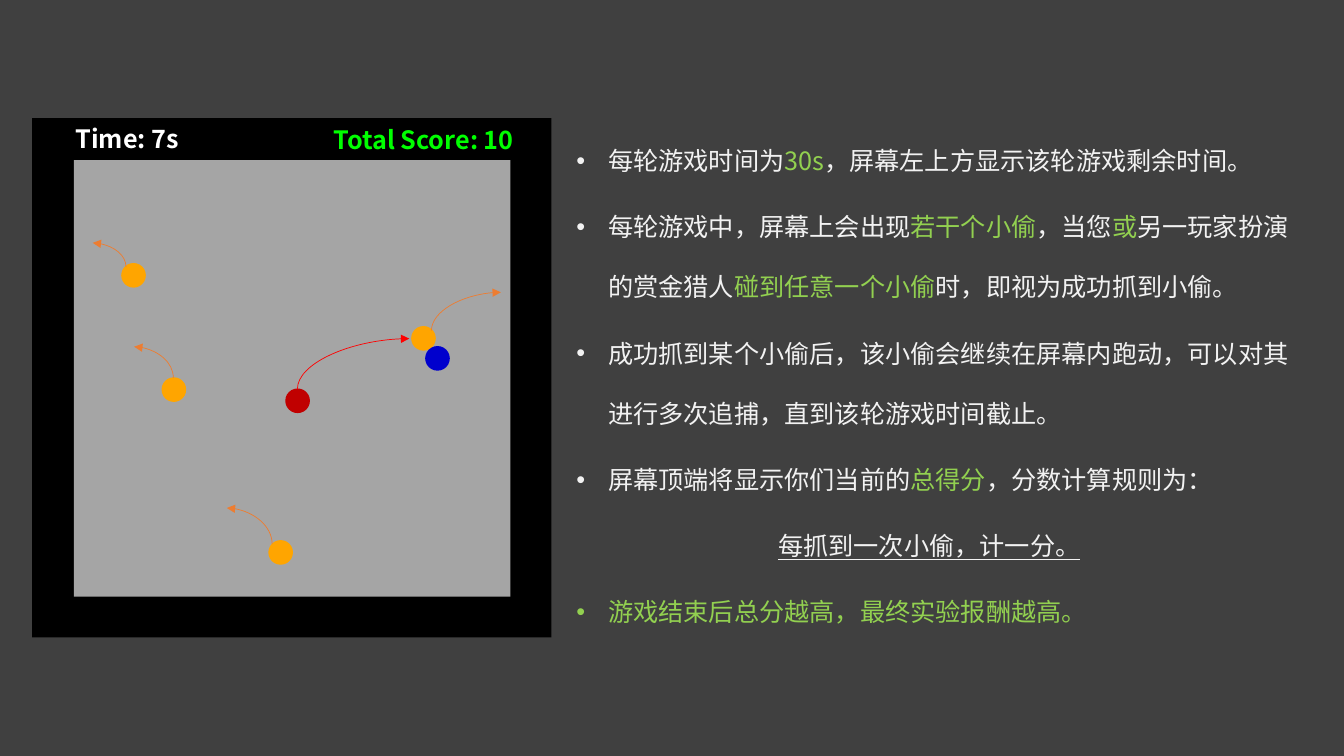
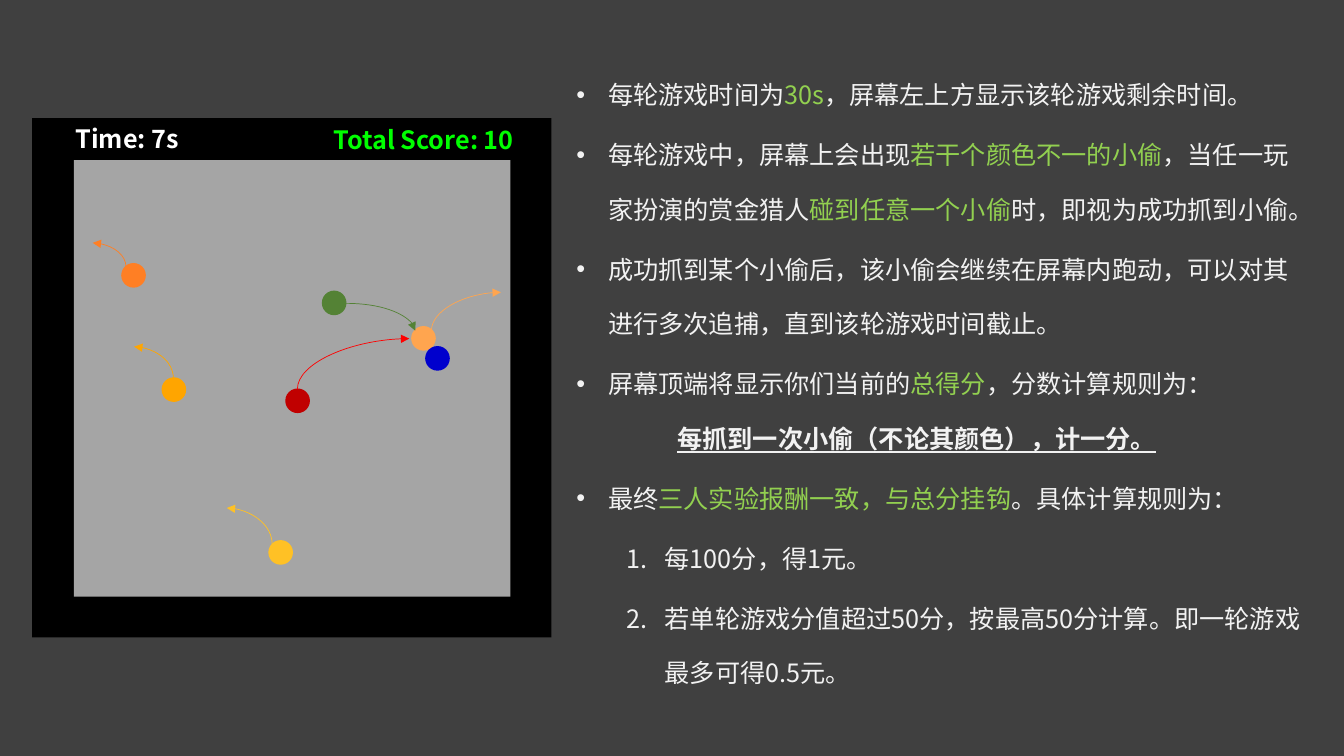
from dataclasses import dataclass
from pptx import Presentation
from pptx.dml.color import RGBColor
from pptx.enum.shapes import MSO_CONNECTOR as Link, MSO_SHAPE as Preset
from pptx.enum.text import MSO_AUTO_SIZE as AutoSize
from pptx.oxml.ns import qn
from pptx.util import Pt
from lxml.etree import SubElement

# ---- Content ----
TIME_RULE = ("bullet", ("每轮游戏时间为", "30s", "，屏幕左上方显示该轮游戏剩余时间。"))
CHASE_RULE = ("bullet", ("成功抓到某个小偷后，该小偷会继续在屏幕内跑动，可以对其进行多次追捕，直到该轮游戏时间截止。",))
SCORE_PIECES = ("屏幕顶端将显示你们当前的", "总得分", "，分数计算规则为：")

# In each item the pieces alternate: plain, highlighted, plain, ...
TWO_PLAYER_RULES = [
    TIME_RULE,
    ("bullet", ("每轮游戏中，屏幕上会出现", "若干个小偷", "，当您", "或",
                "另一玩家扮演的赏金猎人", "碰到任意一个小偷", "时，即视为成功抓到小偷。")),
    CHASE_RULE,
    ("bullet", SCORE_PIECES),
    ("formula", ("每抓到一次小偷，计一分。",)),
    ("bullet", ("", "游戏结束后总分越高，最终实验报酬越高。")),
]
THREE_PLAYER_RULES = [
    TIME_RULE,
    ("bullet", ("每轮游戏中，屏幕上会出现", "若干个颜色不一的小偷", "，当任一玩家扮演的赏金猎人",
                "碰到任意一个小偷", "时，即视为成功抓到小偷。")),
    CHASE_RULE,
    ("lead_in", SCORE_PIECES),
    ("bold_formula", ("每抓到一次小偷（不论其颜色），计一分。",)),
    ("bullet", ("最终", "三人实验报酬一致，与总分挂钩", "。具体计算规则为：")),
    ("number", ("每100分，得1元。",)),
    ("number", ("若单轮游戏分值超过50分，按最高50分计算。即一轮游戏最多可得0.5元。",)),
]

# Thieves: centre, start of the escape arrow, tip of the escape arrow
THIEVES = [
    ((95.4, 196.7), (90, 190.8), (66.2, 173.5)),
    ((302.5, 241.7), (308.2, 236.2), (357.8, 208.8)),
    ((124.2, 278.3), (123.8, 270), (95.8, 247.7)),
    ((200.5, 394.6), (194.4, 388.8), (162, 362.9)),
]
RED_HUNTER = ((212.6, 286.3), (212.4, 277.9), (292.3, 241.9))
BLUE_HUNTER = (312.5, 256)
GREEN_HUNTER = ((238.7, 216.4), (247, 216.7), (296.6, 236.2))
SCREEN = (23, 84.4, 371, 371)
FIELD = (52.8, 114.4, 311.8, 311.8)
TIME_LABEL = ("Time: 7s", (46.8, 84.4, 97.2, 31))
SCORE_LABEL = ("Total Score: 10", (231.1, 85, 152.6, 28.8))

SLIDES = [
    dict(rules=TWO_PLAYER_RULES, box=(404.6, 78.5, 532.8, 368.6), spacing=2.0,
         thieves=["FFA500"] * 4, escapes=["ED7D31"] * 4, green_hunter=False),
    dict(rules=THREE_PLAYER_RULES, box=(404.6, 36, 532.8, 456.5), spacing=1.8,
         thieves=["FF7F24", "FFA54F", "FFA500", "FFC125"],
         escapes=["FF7F24", "FFA54F", "FFA500", "FFC125"], green_hunter=True),
]


# ---- Theme ----
@dataclass(frozen=True)
class Theme:
    """Colours, type and line sizes of the deck."""
    font: str = "Noto Sans CJK SC"
    size: float = 18
    background: str = "404040"
    text: str = "F2F2F2"
    highlight: str = "92D050"
    screen: str = "000000"
    field: str = "A5A5A5"
    time: str = "FFFFFF"
    score: str = "00FF00"
    red: str = "C00000"
    chase: str = "FF0000"
    blue: str = "0000CD"
    green: str = "548235"
    ball: float = 16.6
    outline: float = 1
    arrow: float = 0.5


@dataclass(frozen=True)
class RuleStyle:
    """Paragraph layout for one kind of rule."""
    margin: float
    hang: float = 0
    before: float = 2
    after: float = 2
    marker: str = ""
    level: int = 0
    bold: bool = False
    underline: bool = False


THEME = Theme()
RULE_STYLES = {
    "bullet": RuleStyle(22.5, 22.5, marker="•"),
    "lead_in": RuleStyle(22.5, 22.5, after=0, marker="•"),
    "formula": RuleStyle(144, underline=True),
    "bold_formula": RuleStyle(72, before=0, bold=True, underline=True),
    "number": RuleStyle(63, 27, marker="1.", level=1),
}


# ---- Drawing ----
def rgb(code):
    """Turn a hex code into a colour."""
    return RGBColor.from_string(code)


def place(box):
    """Turn a box in points into lengths."""
    return [Pt(length) for length in box]


def add_run(paragraph, wording, color, bold=False, underline=False):
    """Add one formatted run."""
    run = paragraph.add_run()
    run.text = wording
    font = run.font
    font.name, font.size = THEME.font, Pt(THEME.size)
    font.bold, font.underline = bold, underline
    font.color.rgb = rgb(color)
    properties = run._r.get_or_add_rPr()
    properties.set("lang", "zh-CN")
    SubElement(properties, qn("a:ea")).set("typeface", THEME.font)


def set_marker(paragraph, style):
    """Set the indents and the bullet or number of a paragraph."""
    properties = paragraph._p.get_or_add_pPr()
    properties.set("marL", str(Pt(style.margin)))
    properties.set("indent", str(-Pt(style.hang)))
    if style.marker == "•":
        SubElement(properties, qn("a:buFont")).set("typeface", "Arial")
        SubElement(properties, qn("a:buChar")).set("char", style.marker)
    elif style.marker:
        SubElement(properties, qn("a:buAutoNum")).set("type", "arabicPeriod")
    else:
        SubElement(properties, qn("a:buNone"))


def add_rules(slide, rules, box, spacing):
    """Fill the body placeholder with the rules of the game."""
    body = slide.placeholders[1]
    body.left, body.top, body.width, body.height = place(box)
    frame = body.text_frame
    frame.auto_size = AutoSize.NONE
    for index, (kind, pieces) in enumerate(rules):
        style = RULE_STYLES[kind]
        paragraph = frame.add_paragraph() if index else frame.paragraphs[0]
        paragraph.level = style.level
        paragraph.line_spacing = spacing
        paragraph.space_before, paragraph.space_after = Pt(style.before), Pt(style.after)
        set_marker(paragraph, style)
        for order, piece in enumerate(pieces):
            if piece:
                color = THEME.highlight if order % 2 else THEME.text
                add_run(paragraph, piece, color, style.bold, style.underline)


def add_panel(shapes, box, color):
    """Add a plain rectangle."""
    panel = shapes.add_shape(Preset.RECTANGLE, *place(box))
    panel.shadow.inherit = False
    panel.fill.solid()
    panel.fill.fore_color.rgb = rgb(color)
    panel.line.fill.background()


def add_ball(shapes, centre, color):
    """Add a player or thief around its centre."""
    size = THEME.ball
    corner = [middle - size / 2 for middle in centre]
    ball = shapes.add_shape(Preset.OVAL, *place((*corner, size, size)))
    ball.shadow.inherit = False
    ball.fill.solid()
    ball.fill.fore_color.rgb = rgb(color)
    ball.line.color.rgb = rgb(color)
    ball.line.width = Pt(THEME.outline)


def add_path(shapes, start, tip, color, rising=True):
    """Add a quarter-curve arrow; a rising one leaves its start upwards."""
    begin, end, turn = start, tip, 0
    if rising:
        # The preset leaves sideways, so swap its sides and turn it about its middle.
        mid_x, mid_y = (start[0] + tip[0]) / 2, (start[1] + tip[1]) / 2
        side = 1 if tip[0] > start[0] else -1
        half_w, half_h = side * abs(tip[1] - start[1]) / 2, abs(tip[0] - start[0]) / 2
        begin, end = (mid_x + half_w, mid_y + half_h), (mid_x - half_w, mid_y - half_h)
        turn = 90 * side % 360
    path = shapes.add_connector(Link.CURVE, *place(begin + end))
    path.line.color.rgb = rgb(color)
    path.line.width = Pt(THEME.arrow)
    properties = path._element.spPr
    properties.find(qn("a:prstGeom")).set("prst", "curvedConnector2")
    if turn:
        properties.find(qn("a:xfrm")).set("rot", str(turn * 60000))
    SubElement(properties.find(qn("a:ln")), qn("a:tailEnd")).set("type", "triangle")
    SubElement(properties, qn("a:effectLst"))


def add_label(shapes, label, color):
    """Add a bold label above the field."""
    wording, box = label
    frame = shapes.add_textbox(*place(box)).text_frame
    frame.word_wrap = True
    add_run(frame.paragraphs[0], wording, color, bold=True)


def add_game(slide, thieves, escapes, green_hunter):
    """Draw the game screen with its players and their paths."""
    game = slide.shapes.add_group_shape().shapes
    add_panel(game, SCREEN, THEME.screen)
    add_panel(game, FIELD, THEME.field)
    for (centre, _, _), color in zip(THIEVES, thieves):
        add_ball(game, centre, color)
    red_centre, red_start, red_tip = RED_HUNTER
    add_ball(game, red_centre, THEME.red)
    add_ball(game, BLUE_HUNTER, THEME.blue)
    add_path(game, red_start, red_tip, THEME.chase)
    for (_, start, tip), color in zip(THIEVES, escapes):
        add_path(game, start, tip, color)
    add_label(game, TIME_LABEL, THEME.time)
    add_label(game, SCORE_LABEL, THEME.score)
    if green_hunter:
        centre, start, tip = GREEN_HUNTER
        add_ball(slide.shapes, centre, THEME.green)
        add_path(slide.shapes, start, tip, THEME.green, rising=False)


def build():
    """Build and save the deck."""
    deck = Presentation()
    deck.slide_width, deck.slide_height = Pt(960), Pt(540)
    backdrop = deck.slide_master.background.fill
    backdrop.solid()
    backdrop.fore_color.rgb = rgb(THEME.background)
    for content in SLIDES:
        slide = deck.slides.add_slide(deck.slide_layouts[1])
        title = slide.shapes.title._element
        title.getparent().remove(title)
        add_rules(slide, content["rules"], content["box"], content["spacing"])
        add_game(slide, content["thieves"], content["escapes"], content["green_hunter"])
    deck.save("out.pptx")


build()
